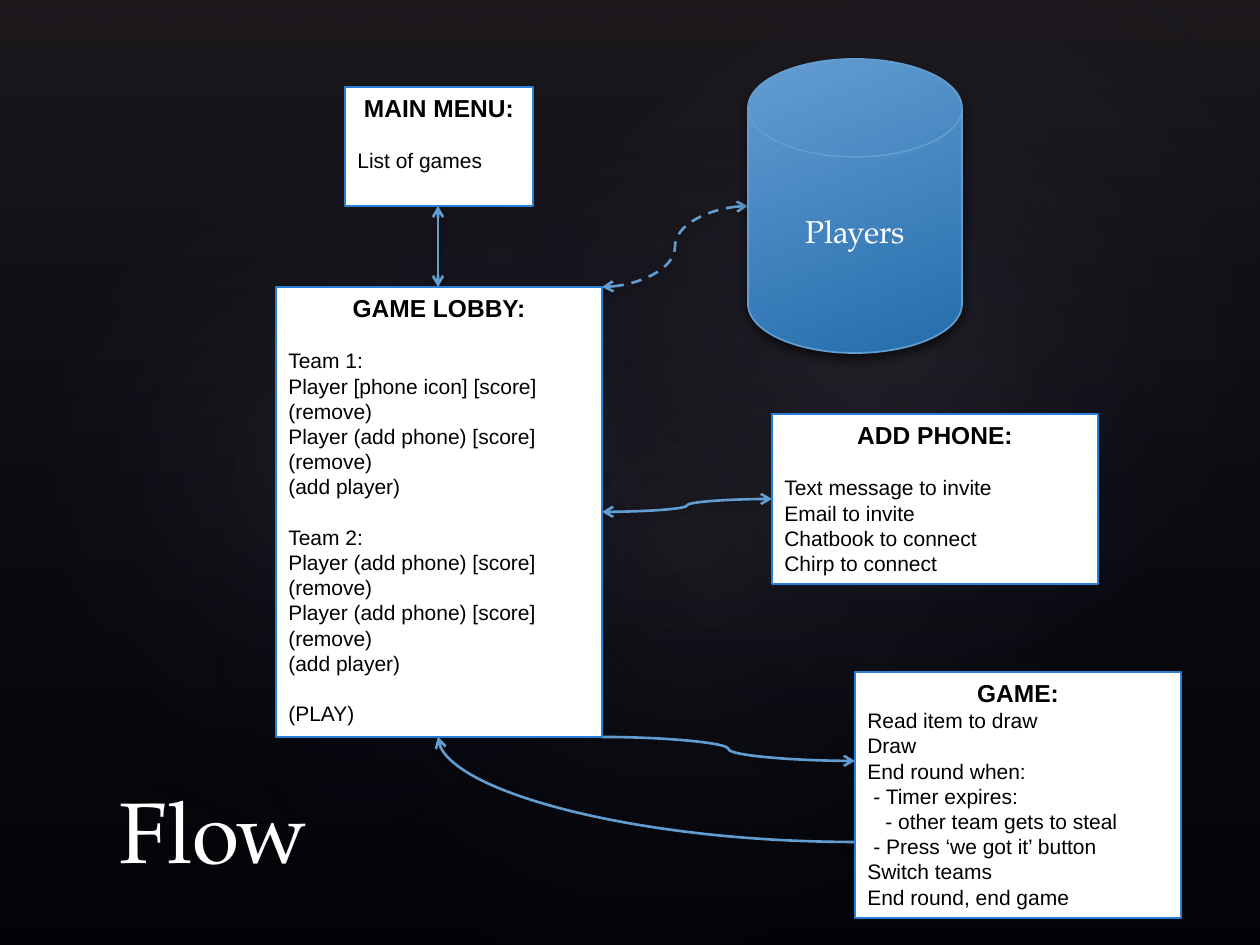
import pptx
import pptx.util
import pptx.oxml
import pptx.oxml.ns
import pptx.dml.color
import pptx.enum.dml
import pptx.enum.shapes
import pptx.enum.text

RGB = pptx.dml.color.RGBColor
BLACK = RGB(0x00, 0x00, 0x00)
WHITE = RGB(0xFF, 0xFF, 0xFF)
BORDER = RGB(0x29, 0x7F, 0xD5)
BLUE = RGB(0x62, 0x9D, 0xD1)
DEEP_BLUE = RGB(0x25, 0x6D, 0xAD)
NAVY = RGB(0x24, 0x28, 0x52)
PLUM = RGB(0x50, 0x46, 0x52)
MAUVE = RGB(0xC4, 0xBC, 0xC6)

PX = 914400 / 126
Pt = pptx.util.Pt
SHAPE = pptx.enum.shapes.MSO_SHAPE
LINK = pptx.enum.shapes.MSO_CONNECTOR
ALIGN = pptx.enum.text.PP_ALIGN
ANCHOR = pptx.enum.text.MSO_ANCHOR
NO_FIT = pptx.enum.text.MSO_AUTO_SIZE.NONE
DASH = pptx.enum.dml.MSO_LINE.DASH
NS = pptx.oxml.ns.nsdecls("a")
qn = pptx.oxml.ns.qn


def emu(*lengths):
    return [round(v * PX) for v in lengths]


def gradient(sp, stops, direction):
    sp.fill.background()
    gs = "".join(
        f'<a:gs pos="{pos * 1000}"><a:srgbClr val="{color}">'
        f'<a:alpha val="{alpha * 1000}"/></a:srgbClr></a:gs>'
        for pos, color, alpha in stops)
    fill = pptx.oxml.parse_xml(
        f'<a:gradFill {NS} rotWithShape="1"><a:gsLst>{gs}</a:gsLst>{direction}</a:gradFill>')
    spPr = sp._element.spPr
    spPr.replace(spPr.find(qn("a:noFill")), fill)


SHADOW = ('<a:effectLst {ns}><a:outerShdw blurRad="{blur}" dist="{dist}" dir="5400000" '
          'rotWithShape="0"><a:srgbClr val="000000"><a:alpha val="{alpha}"/></a:srgbClr>'
          '</a:outerShdw></a:effectLst>')
LINEAR = '<a:lin ang="{}" scaled="0"/>'
RADIAL = '<a:path path="circle"><a:fillToRect l="50000" t="50000" r="50000" b="50000"/></a:path>'

prs = pptx.Presentation()
prs.slide_width, prs.slide_height = emu(1260, 945)
s = prs.slides.add_slide(prs.slide_layouts[5])
s.background.fill.solid()
s.background.fill.fore_color.rgb = BLACK

backdrop = [
    (SHAPE.RECTANGLE, (0, 0, 1260, 945), 0,
     [(0, PLUM, 36), (100, NAVY, 10)], LINEAR.format(5400000)),
    (SHAPE.OVAL, (189, 144, 998, 786), 328.7, [(0, MAUVE, 7), (58, NAVY, 0)], RADIAL),
    (SHAPE.OVAL, (-38, 161, 764, 617), 294.3, [(0, MAUVE, 8), (58, NAVY, 0)], RADIAL),
    (SHAPE.OVAL, (451, 16, 893, 655), 328.7, [(0, MAUVE, 8), (58, NAVY, 0)], RADIAL),
]
for kind, box, angle, stops, direction in backdrop:
    sp = s.shapes.add_shape(kind, *emu(*box))
    sp.rotation = angle
    sp.shadow.inherit = False
    sp.line.fill.background()
    gradient(sp, stops, direction)

title = s.shapes.title
s.shapes._spTree.append(title._element)
title.left, title.top, title.width, title.height = emu(107, 761, 1040, 126)
tf = title.text_frame
tf.auto_size = NO_FIT
tf.vertical_anchor = ANCHOR.BOTTOM
p = tf.paragraphs[0]
p.alignment = ALIGN.LEFT
r = p.add_run()
r.text = "Flow"
for name, value in {"size": Pt(49), "name": "TeX Gyre Pagella"}.items():
    setattr(r.font, name, value)
r.font.color.rgb = WHITE

links = [
    (LINK.STRAIGHT, (438, 206, 438, 287), True, False),
    (LINK.CURVE, (602, 287, 748, 206), True, True),
    (LINK.CURVE, (602, 512, 772, 499), True, False),
    (LINK.CURVE, (602, 737, 855, 761), False, False),
    (LINK.CURVE, (855, 842, 438, 737), False, False),
]
for kind, ends, both_ways, dashed in links:
    cn = s.shapes.add_connector(kind, *emu(*ends))
    cn.line.color.rgb = BLUE
    cn.line.width = Pt(1.5)
    if dashed:
        cn.line.dash_style = DASH
    ln = cn.line._get_or_add_ln()
    for end in ("headEnd", "tailEnd") if both_ways else ("tailEnd",):
        ln.append(pptx.oxml.parse_xml(f'<a:{end} {NS} type="arrow"/>'))
    cn._element.spPr.append(pptx.oxml.parse_xml(
        SHADOW.format(ns=NS, blur=Pt(5), dist=Pt(1), alpha=32000)))
cn._element.spPr.find(qn("a:prstGeom")).set("prst", "curvedConnector2")

cylinder = s.shapes.add_shape(SHAPE.FLOWCHART_MAGNETIC_DISK, *emu(748, 59, 214, 294))
gradient(cylinder, [(0, BLUE, 100), (100, DEEP_BLUE, 100)], LINEAR.format(69 * 60000))
cylinder.line.color.rgb = BLUE
cylinder.line.width = Pt(1)
cylinder._element.spPr.append(pptx.oxml.parse_xml(
    SHADOW.format(ns=NS, blur=Pt(6), dist=Pt(3), alpha=60000)))
tf = cylinder.text_frame
tf.vertical_anchor = ANCHOR.MIDDLE
p = tf.paragraphs[0]
p.alignment = ALIGN.CENTER
r = p.add_run()
r.text = "Players"
for name, value in {"size": Pt(18), "name": "TeX Gyre Pagella"}.items():
    setattr(r.font, name, value)
r.font.color.rgb = WHITE

HEADING = {"size": Pt(14), "name": "Arial", "bold": True}
BODY = {"size": Pt(12), "name": "Arial", "bold": False}
ADDABLE = "Player (add phone) [score] (remove)"
panels = [
    ((345, 87, 188, 119), "MAIN MENU:", [(1, 0, "List of games")]),
    ((276, 287, 326, 450), "GAME LOBBY:", [
        (1, 0, "Team 1:"), (0, 0, "Player [phone icon] [score] (remove)"),
        (0, 0, ADDABLE), (0, 0, "(add player)"),
        (1, 0, "Team 2:"), (0, 0, ADDABLE), (0, 0, ADDABLE), (0, 0, "(add player)"),
        (1, 0, "(PLAY)")]),
    ((772, 414, 326, 170), "ADD PHONE:", [
        (1, 0, "Text message to invite"), (0, 0, "Email to invite"),
        (0, 0, "Chatbook to connect"), (0, 0, "Chirp to connect")]),
    ((855, 672, 326, 246), "GAME:", [
        (0, 0, "Read item to draw"), (0, 0, "Draw"), (0, 0, "End round when:"),
        (0, 6, "- Timer expires:"), (0, 18, "- other team gets to steal"),
        (0, 6, "- Press ‘we got it’ button"),
        (0, 0, "Switch teams"), (0, 0, "End round, end game")]),
]
for box, heading, lines in panels:
    sp = s.shapes.add_textbox(*emu(*box))
    sp.fill.solid()
    sp.fill.fore_color.rgb = WHITE
    sp.line.color.rgb = BORDER
    sp.line.width = Pt(1.5)
    tf = sp.text_frame
    tf.word_wrap = True
    tf.auto_size = NO_FIT
    for i, (gap, indent, text) in enumerate([(0, 0, heading)] + lines):
        p = tf.paragraphs[0] if i == 0 else tf.add_paragraph()
        font = BODY if i else HEADING
        p.alignment = ALIGN.LEFT if i else ALIGN.CENTER
        p.line_spacing = Pt(14.4 if i else 16.8)
        p.space_before = Pt(14.4 * gap)
        if indent:
            p._p.get_or_add_pPr().set("marL", str(emu(indent)[0]))
        r = p.add_run()
        r.text = text
        for name, value in font.items():
            setattr(r.font, name, value)
        r.font.color.rgb = BLACK

prs.save("out.pptx")
